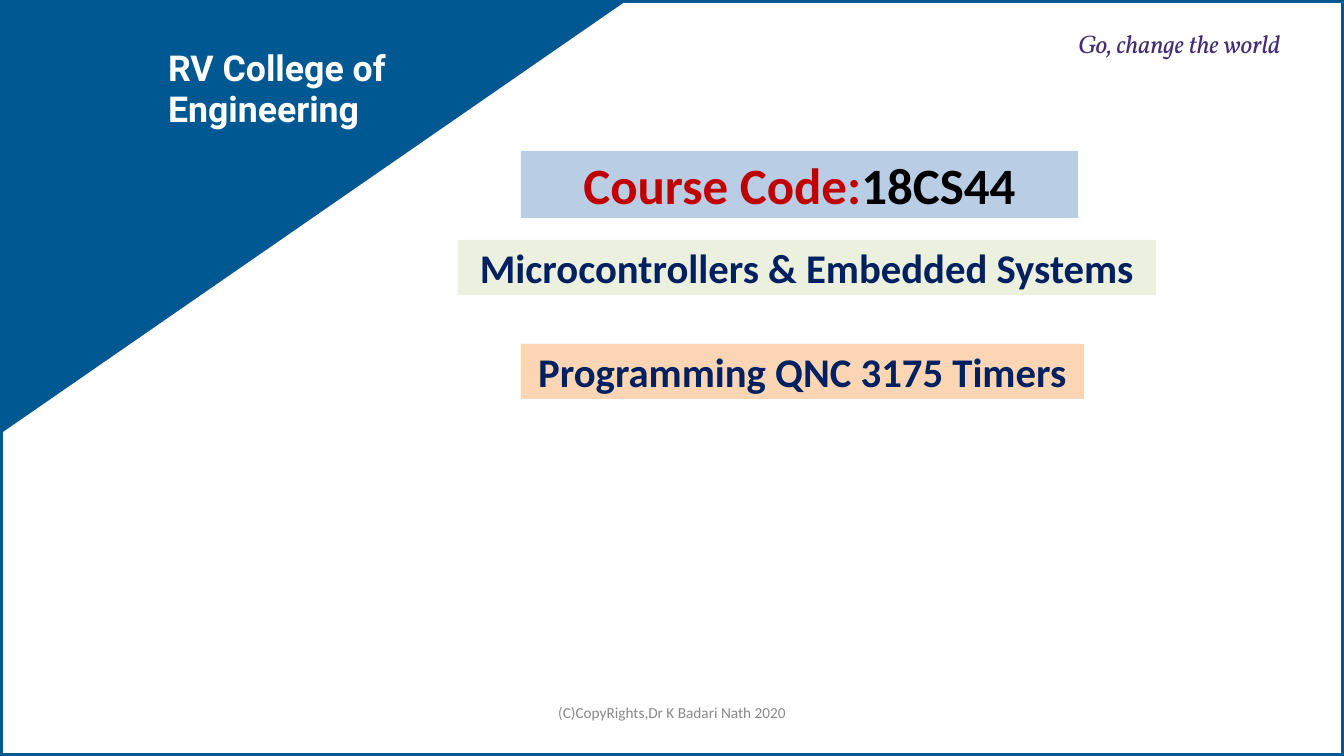
from pptx import Presentation
from pptx.dml.color import RGBColor
from pptx.enum.shapes import MSO_SHAPE as Kind
from pptx.enum.text import MSO_ANCHOR as Anchor, PP_ALIGN as Align
from pptx.util import Pt

PX = 14966
WIDE, HIGH = 1344, 756
BLUE, WHITE, NAVY = "005893", "FFFFFF", "002060"


def paint(part, tone):
    if hasattr(part, "solid"):
        part.solid()
        part = part.fore_color
    part.rgb = RGBColor.from_string(tone)


def write(shape, lines, look, form, pad):
    frame = shape.text_frame
    frame.word_wrap = True
    frame.vertical_anchor = Anchor.TOP
    for side, gap in zip(("left", "top", "right", "bottom"), pad):
        setattr(frame, f"margin_{side}", gap * PX)
    for i, line in enumerate(lines):
        para = frame.add_paragraph() if i else frame.paragraphs[0]
        for key, value in form.items():
            setattr(para, key, value)
        if i:
            para.space_before = Pt(1)
        for words, tone in line:
            run = para.add_run()
            run.text = words
            for key, value in look.items():
                setattr(run.font, key, value)
            paint(run.font.color, tone)


deck = Presentation()
deck.slide_width, deck.slide_height = WIDE * PX, HIGH * PX
slide = deck.slides.add_slide(deck.slide_layouts[6])
shapes = slide.shapes

frame = shapes.add_shape(Kind.RECTANGLE, 0, 0, WIDE * PX, HIGH * PX)
frame.shadow.inherit = False
paint(frame.fill, WHITE)
paint(frame.line.fill, BLUE)
frame.line.width = Pt(6)

pen = shapes.build_freeform(626, 1, scale=PX)
pen.add_line_segments([(0, 1), (0, 434)], close=True)
corner = pen.convert_to_shape()
corner.shadow.inherit = False
paint(corner.fill, BLUE)
corner.line.fill.background()

mid = {"alignment": Align.CENTER}
notes = [
    ((167, 48, 255, 81), [[("RV College of", WHITE)], [("Engineering", WHITE)]],
     {"name": "Roboto", "size": Pt(42), "bold": True}, {"line_spacing": Pt(47)}, (1, 1, 0, 0)),
    ((1077, 27, 227, 62), [[("Go, change the world", "422C75")]],
     {"name": "Vollkorn", "size": Pt(30), "italic": True}, {}, (1, 1, 0, 0)),
    ((457, 703, 430, 18), [[("(C)CopyRights,Dr K Badari Nath 2020", "898989")]],
     {"name": "Calibri", "size": Pt(18)}, mid, (0, 0, 0, 0)),
]
for box, lines, look, form, pad in notes:
    note = shapes.add_textbox(*[n * PX for n in box])
    write(note, lines, look, form, pad)

bands = [
    ((458, 240, 698, 55), "EBF1DE", 48, [("Microcontrollers & Embedded Systems", NAVY)]),
    ((521, 344, 563, 55), "FCD5B5", 48, [("Programming QNC 3175 Timers", NAVY)]),
    ((521, 151, 557, 67), "B9CDE5", 60, [("Course Code:", "C00000"), ("18CS44", "000000")]),
]
for box, tone, size, line in bands:
    band = shapes.add_shape(Kind.RECTANGLE, *[n * PX for n in box])
    band.shadow.inherit = False
    paint(band.fill, tone)
    band.line.fill.background()
    look = {"name": "Calibri", "size": Pt(size), "bold": True}
    write(band, [line], look, mid, (6, 3, 6, 3))

deck.save("out.pptx")
